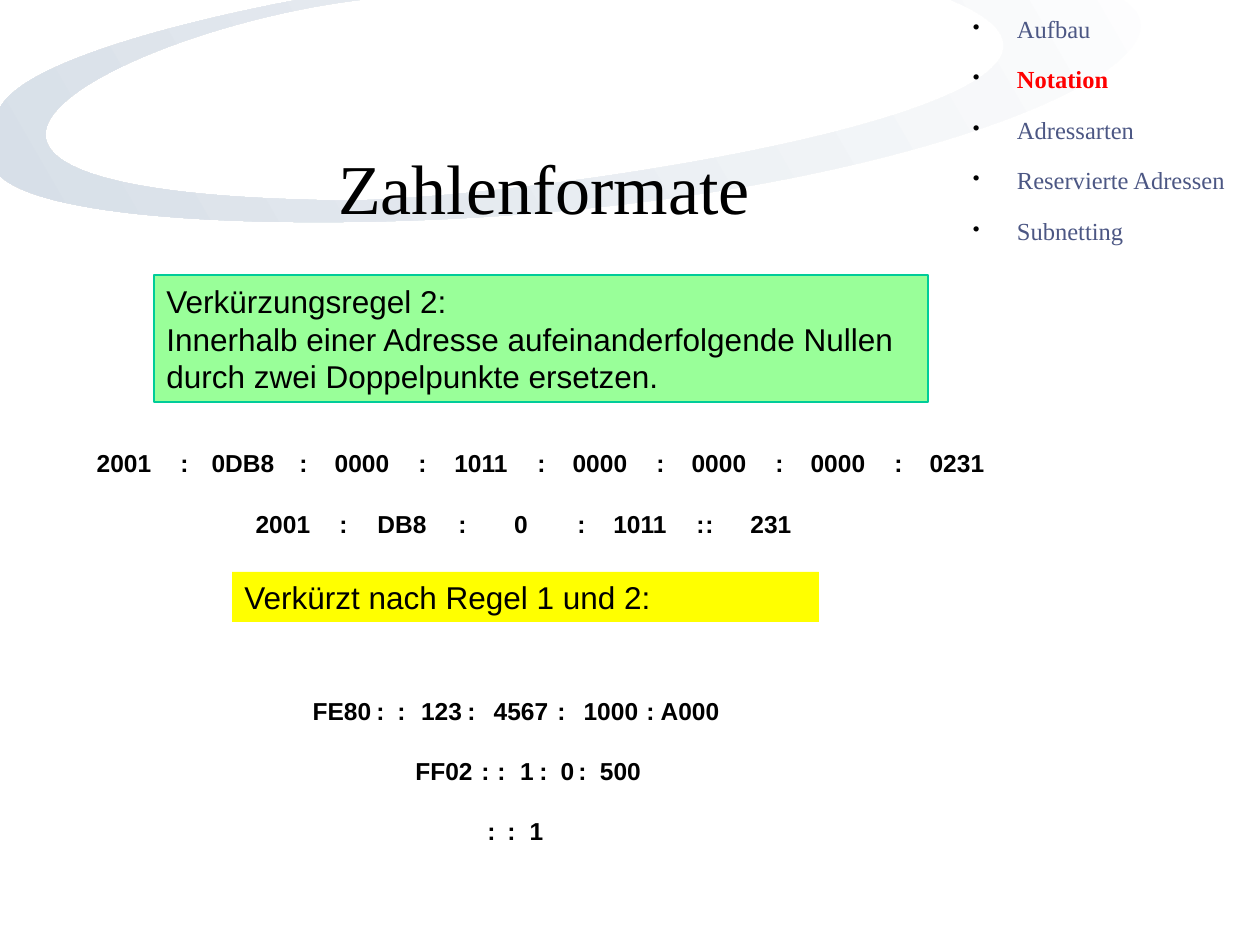
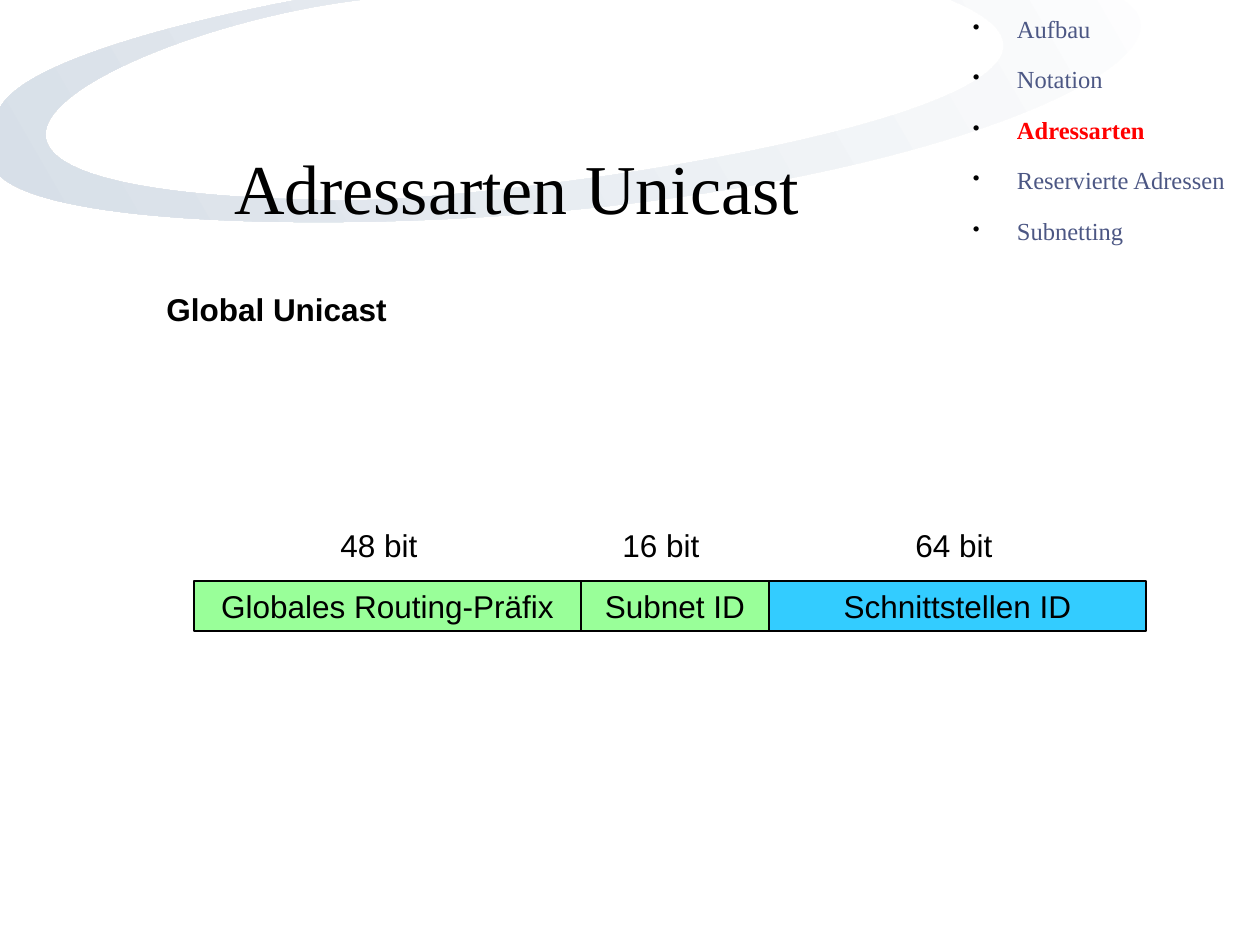
from dataclasses import dataclass
from typing import Optional

from lxml.etree import SubElement
from pptx import Presentation
from pptx.dml.color import RGBColor
from pptx.enum.shapes import MSO_SHAPE
from pptx.enum.text import MSO_ANCHOR, MSO_AUTO_SIZE, PP_ALIGN
from pptx.oxml.ns import qn
from pptx.shapes.autoshape import Shape
from pptx.slide import Slide
from pptx.util import Emu, Pt

PX = 914400 / 126  # EMU per pixel

BLACK = RGBColor(0x00, 0x00, 0x00)
WHITE = RGBColor(0xFF, 0xFF, 0xFF)
MIST = RGBColor(0xD1, 0xDA, 0xE4)
SLATE = RGBColor(0x4C, 0x57, 0x84)
RED = RGBColor(0xFF, 0x00, 0x00)
GREEN = RGBColor(0x99, 0xFF, 0x99)
TEAL = RGBColor(0x00, 0xCC, 0x99)
YELLOW = RGBColor(0xFF, 0xFF, 0x00)
SKY = RGBColor(0x33, 0xCC, 0xFF)

SANS = "Arial"
SERIF = "Times New Roman"

CHAPTERS = ("Aufbau", "Notation", "Adressarten", "Reservierte Adressen", "Subnetting")

# Start point, then three points (two controls, one end) for each curve
SWOOSH_START = (297, 0)
SWOOSH_CURVES = (
    (238, 11), (28, 54), (0, 108),
    (0, 134), (0, 151), (0, 176),
    (39, 213), (197, 221), (284, 222),
    (825, 229), (1232, 69), (1123, 0),
    (1019, 0), (1055, 0), (951, 0),
    (1205, 106), (469, 210), (315, 200),
    (-190, 188), (127, 28), (360, 0),
    (333, 0), (318, 0), (297, 0),
)

GROUP_STEP = 119
GROUP_WIDTH = 100
COLON_WIDTH = 21
TOKEN_HEIGHT = 43
LABEL_HEIGHT = 50


@dataclass(frozen=True)
class Box:
    """A rectangle in pixels."""
    left: int
    top: int
    width: int
    height: int

    def emu(self) -> tuple[Emu, ...]:
        """Return the four lengths in EMU."""
        return tuple(Emu(round(n * PX)) for n in (self.left, self.top, self.width, self.height))


@dataclass(frozen=True)
class Style:
    """Font and alignment of a text."""
    size: int
    font: str = SANS
    bold: bool = False
    color: RGBColor = BLACK
    align: PP_ALIGN = PP_ALIGN.LEFT


@dataclass(frozen=True)
class Group:
    """One group of digits in an address."""
    text: str
    left: int
    width: int = GROUP_WIDTH


@dataclass(frozen=True)
class Address:
    """One address: its groups and the left edges of its colons."""
    top: int
    groups: tuple[Group, ...]
    colons: tuple[int, ...]


@dataclass(frozen=True)
class Field:
    """One part of the unicast address."""
    name: str
    bits: str
    width: int
    bits_left: int
    fill: RGBColor


TITLE = Style(40, SERIF)
BODY = Style(18)
HEADING = Style(18, bold=True)
CENTERED = Style(18, align=PP_ALIGN.CENTER)
TOKEN = Style(14, bold=True, align=PP_ALIGN.CENTER)
CHAPTER = Style(14, SERIF, color=SLATE)
CURRENT_CHAPTER = Style(14, SERIF, bold=True, color=RED)


def spaced_groups(left: int, texts: str) -> tuple[Group, ...]:
    """Place groups at equal steps."""
    return tuple(Group(text, left + GROUP_STEP * i) for i, text in enumerate(texts.split()))


def spaced_colons(left: int, count: int) -> tuple[int, ...]:
    """Return the left edges of colons at equal steps."""
    return tuple(left + GROUP_STEP * i for i in range(count))


ADDRESSES = (
    Address(442, spaced_groups(74, "2001 0DB8 0000 1011 0000 0000 0000 0231"),
            spaced_colons(174, 7)),
    Address(503, spaced_groups(233, "2001 DB8 0 1011") + (Group("231", 721),),
            spaced_colons(333, 4) + (699,)),
    Address(690, (Group("FE80", 292), Group("123", 402, 79), Group("4567", 471),
                  Group("1000", 561), Group("A000", 640)),
            (370, 391, 461, 551, 640)),
    Address(750, (Group("FF02", 394), Group("1", 503, 48), Group("0", 543, 49),
                  Group("500", 582, 77)),
            (475, 491, 533, 572)),
    Address(810, (Group("1", 512, 49),), (481, 501)),
)

FIELDS = (
    Field("Globales Routing-Präfix", "48 bit", 387, 328, GREEN),
    Field("Subnet ID", "16 bit", 188, 610, GREEN),
    Field("Schnittstellen ID", "64 bit", 377, 903, SKY),
)


def write(shape: Shape, lines: tuple[str, ...], style: Style) -> None:
    """Write one paragraph per line into a shape."""
    frame = shape.text_frame
    frame.word_wrap = True
    for i, line in enumerate(lines):
        paragraph = frame.add_paragraph() if i else frame.paragraphs[0]
        paragraph.alignment = style.align
        run = paragraph.add_run()
        run.text = line
        run.font.size = Pt(style.size)
        run.font.name = style.font
        run.font.bold = style.bold
        run.font.color.rgb = style.color


def add_label(slide: Slide, box: Box, text: str, style: Style) -> Shape:
    """Add a text box that grows with its text."""
    label = slide.shapes.add_textbox(*box.emu())
    write(label, (text,), style)
    label.text_frame.auto_size = MSO_AUTO_SIZE.SHAPE_TO_FIT_TEXT
    return label


def add_panel(slide: Slide, box: Box, lines: tuple[str, ...], style: Style,
              fill: RGBColor, outline: Optional[RGBColor] = None) -> None:
    """Add a filled rectangle with text."""
    panel = slide.shapes.add_shape(MSO_SHAPE.RECTANGLE, *box.emu())
    panel.shadow.inherit = False
    panel.fill.solid()
    panel.fill.fore_color.rgb = fill
    if outline is None:
        panel.line.fill.background()
    else:
        panel.line.color.rgb = outline
        panel.line.width = Pt(0.75)
    write(panel, lines, style)
    panel.text_frame.auto_size = MSO_AUTO_SIZE.SHAPE_TO_FIT_TEXT


def add_swoosh(slide: Slide) -> None:
    """Draw the curved background band."""
    builder = slide.shapes.build_freeform(*SWOOSH_START, scale=PX)
    builder.add_line_segments(SWOOSH_CURVES, close=False)
    swoosh = builder.convert_to_shape()
    swoosh.shadow.inherit = False
    swoosh.line.fill.background()
    swoosh.fill.gradient()
    swoosh.fill.gradient_angle = 210
    for stop, color in zip(swoosh.fill.gradient_stops, (WHITE, MIST)):
        stop.color.rgb = color

    # Turn each three straight segments into one cubic curve
    outline = next(swoosh.element.iter(qn("a:path")))
    segments = outline.findall(qn("a:lnTo"))
    for i in range(0, len(segments), 3):
        curve = SubElement(outline, qn("a:cubicBezTo"))
        for segment in segments[i:i + 3]:
            curve.append(segment[0])
            outline.remove(segment)


def clear_margins(shape: Shape) -> None:
    """Remove all text insets."""
    frame = shape.text_frame
    frame.margin_left = frame.margin_right = frame.margin_top = frame.margin_bottom = 0


def add_title(slide: Slide, box: Box, text: str) -> None:
    """Add the indented slide title."""
    title = slide.shapes.add_textbox(*box.emu())
    clear_margins(title)
    title.text_frame.vertical_anchor = MSO_ANCHOR.MIDDLE
    write(title, (text,), TITLE)
    properties = title.text_frame.paragraphs[0]._p.get_or_add_pPr()
    properties.set("marL", str(round(180 * PX)))
    properties.set("indent", "0")


def add_chapters(slide: Slide, current: str) -> None:
    """List the chapters and highlight the current one."""
    listing = slide.shapes.add_textbox(*Box(958, 16, 277, 277).emu())
    clear_margins(listing)
    write(listing, CHAPTERS, CHAPTER)
    for paragraph in listing.text_frame.paragraphs:
        paragraph.line_spacing = 0.95
        paragraph.space_after = Pt(12.9)
        properties = paragraph._p.get_or_add_pPr()
        properties.set("marL", str(round(59 * PX)))
        properties.set("indent", str(round(-44 * PX)))
        bullet_color = SubElement(properties, qn("a:buClr"))
        SubElement(bullet_color, qn("a:srgbClr"), val=str(BLACK))
        SubElement(properties, qn("a:buSzPct"), val="82000")
        SubElement(properties, qn("a:buChar"), char="•")
        run = paragraph.runs[0]
        if run.text == current:
            run.font.bold = CURRENT_CHAPTER.bold
            run.font.color.rgb = CURRENT_CHAPTER.color


def add_address(slide: Slide, address: Address) -> None:
    """Draw the groups and colons of one address."""
    colons = tuple(Group(":", left, COLON_WIDTH) for left in address.colons)
    for group in address.groups + colons:
        box = Box(group.left, address.top, group.width, TOKEN_HEIGHT)
        token = add_label(slide, box, group.text, TOKEN)
        token.text_frame.margin_left = token.text_frame.margin_right = 0


def add_fields(slide: Slide, left: int, top: int) -> None:
    """Draw the address fields side by side with their bit counts above."""
    for field in FIELDS:
        add_panel(slide, Box(left, top, field.width, LABEL_HEIGHT), (field.name,),
                  CENTERED, field.fill, BLACK)
        add_label(slide, Box(field.bits_left, top - 61, 123, LABEL_HEIGHT), field.bits, BODY)
        left += field.width


def start_slide(deck: Presentation, title: str, title_box: Box, chapter: str) -> Slide:
    """Add a slide with the shared band, title and chapter list."""
    slide = deck.slides.add_slide(deck.slide_layouts[6])
    add_swoosh(slide)
    add_title(slide, title_box, title)
    add_chapters(slide, chapter)
    return slide


deck = Presentation()
deck.slide_width, deck.slide_height = Box(0, 0, 1260, 945).emu()[2:]

formats = start_slide(deck, "Zahlenformate", Box(158, 108, 790, 158), "Notation")
add_panel(formats, Box(154, 275, 774, 127),
          ("Verkürzungsregel 2:",
           "Innerhalb einer Adresse aufeinanderfolgende Nullen durch zwei Doppelpunkte ersetzen."),
          BODY, GREEN, TEAL)
add_panel(formats, Box(232, 572, 587, LABEL_HEIGHT), ("Verkürzt nach Regel 1 und 2:",),
          BODY, YELLOW)
for address in ADDRESSES:
    add_address(formats, address)

unicast = start_slide(deck, "Adressarten Unicast", Box(54, 108, 774, 158), "Adressarten")
add_label(unicast, Box(154, 284, 546, LABEL_HEIGHT), "Global Unicast", HEADING)
add_fields(unicast, 194, 581)

deck.save("out.pptx")
